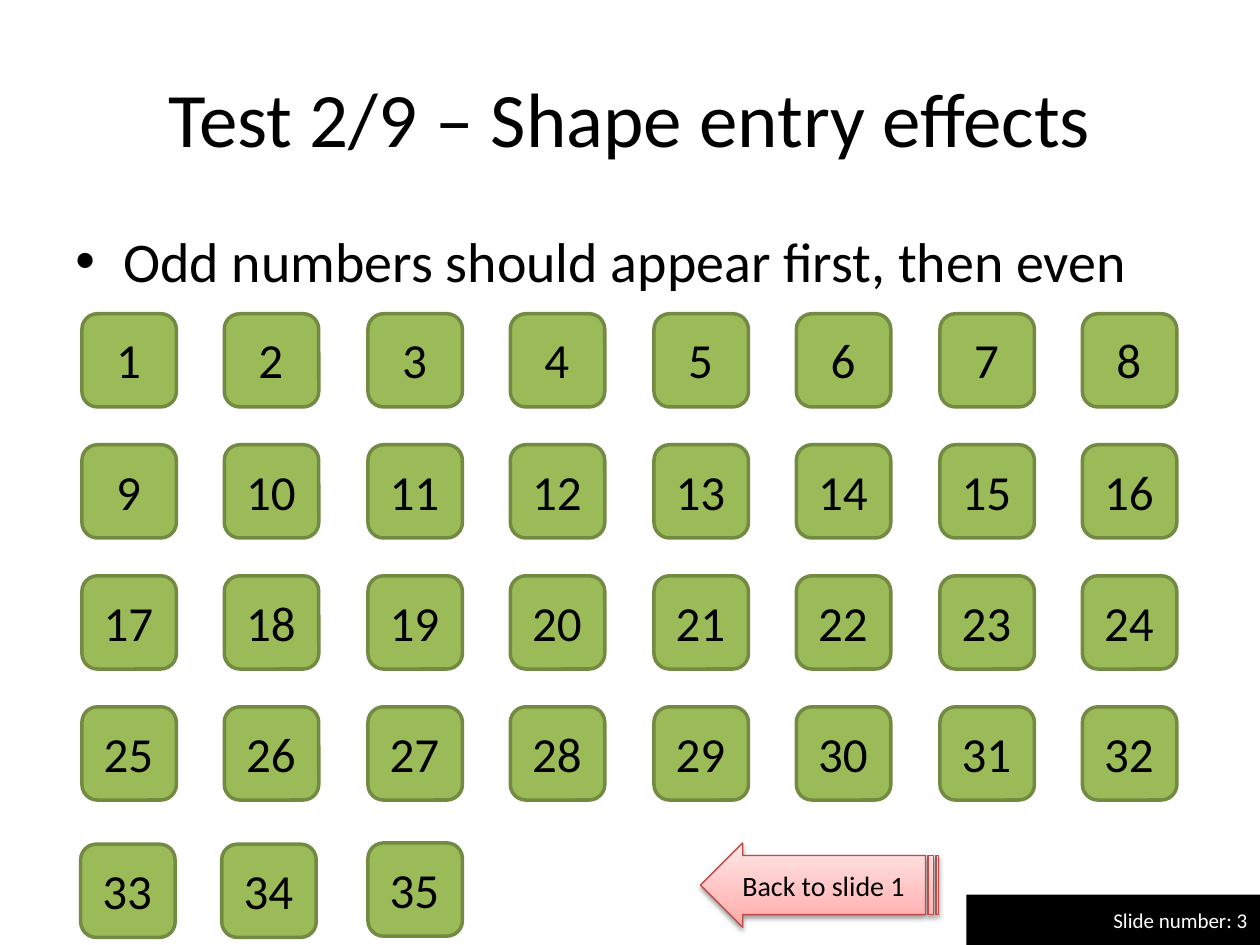
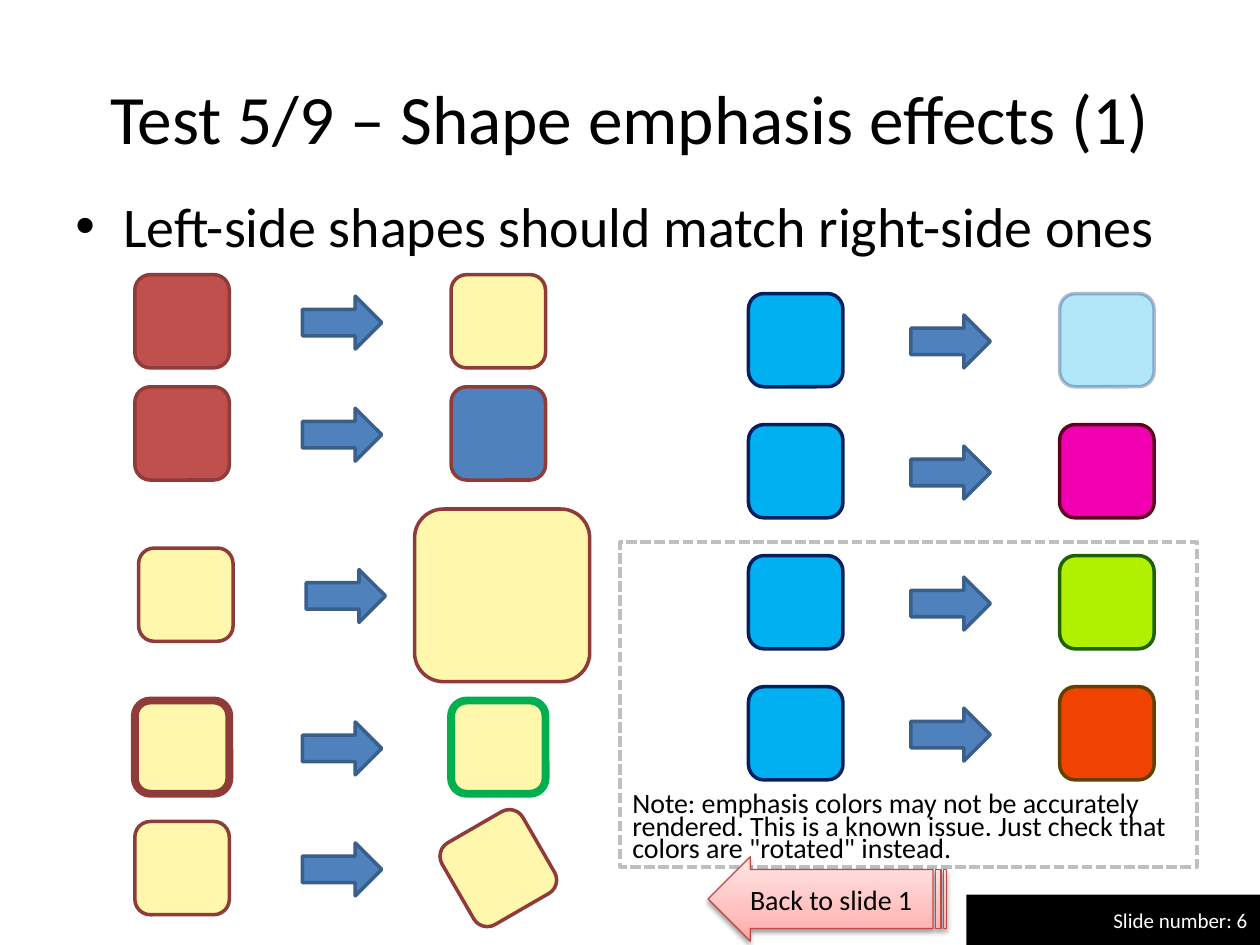
from dataclasses import dataclass

from lxml.etree import SubElement
from pptx import Presentation
from pptx.dml.color import RGBColor
from pptx.enum.dml import MSO_LINE
from pptx.enum.shapes import MSO_SHAPE as SHAPE
from pptx.enum.text import MSO_ANCHOR as ANCHOR, MSO_AUTO_SIZE as AUTO, PP_ALIGN as ALIGN
from pptx.oxml import parse_xml
from pptx.oxml.ns import nsdecls, qn
from pptx.util import Pt

PX = 9144  # EMU per px, 100 px to the inch
TILE_W, TILE_H = 75, 74
COLUMNS = 8


# Theme
@dataclass(frozen=True)
class Theme:
    font: str = "Calibri"
    black: str = "000000"
    white: str = "FFFFFF"
    green: str = "9BBB59"
    green_line: str = "738A42"
    red: str = "C0504D"
    red_line: str = "8E3B39"
    cream: str = "FFF7AB"
    blue: str = "4F81BD"
    blue_line: str = "3A5F8C"
    sky: str = "00B0F0"
    navy: str = "002060"
    frame: str = "BFBFBF"
    back_line: str = "BF4C48"
    back_stops: tuple = ((0, "FFA6A5"), (35, "FFC0BF"), (100, "FFE7E7"))
    title: float = 44
    long_title: float = 39.6
    bullet: float = 32
    number: float = 28
    note: float = 16
    footer: float = 12
    outline: float = 2
    thick: float = 4.5


T = Theme()


@dataclass(frozen=True)
class Look:
    """How a tile looks before or after an emphasis effect."""
    fill: str
    line: str
    width: float = T.outline
    opacity: int = 100
    scale: float = 1
    rotation: int = 0


# Basic elements
def rgb(color):
    return RGBColor.from_string(color)


def emu(*lengths):
    return [round(n) * PX for n in lengths]


def add_run(p, text, size, color=T.black):
    r = p.add_run()
    r.text = text
    r.font.size, r.font.name = Pt(size), T.font
    r.font.color.rgb = rgb(color)


def add_box(s, kind, box, fill=None, line=None, width=T.outline):
    sp = s.shapes.add_shape(kind, *emu(*box))
    sp.shadow.inherit = False
    if fill:
        sp.fill.solid()
        sp.fill.fore_color.rgb = rgb(fill)
    else:
        sp.fill.background()
    if line:
        sp.line.color.rgb = rgb(line)
        sp.line.width = Pt(width)
    else:
        sp.line.fill.background()
    return sp


def add_text(s, box, text, size, align=ALIGN.LEFT, wrap=True, auto=AUTO.SHAPE_TO_FIT_TEXT):
    tf = s.shapes.add_textbox(*emu(*box)).text_frame
    tf.word_wrap, tf.auto_size = wrap, auto
    p = tf.paragraphs[0]
    p.alignment = align
    add_run(p, text, size)
    return p


# Parts shared by the slides
def set_title(s, text, size):
    sp = s.shapes.title
    sp.left, sp.top, sp.width, sp.height = emu(50, 30, 900, 125)
    sp.fill.solid()
    sp.fill.fore_color.rgb = rgb(T.white)
    tf = sp.text_frame
    tf.auto_size, tf.vertical_anchor = AUTO.NONE, ANCHOR.MIDDLE
    p = tf.paragraphs[0]
    p.alignment = ALIGN.CENTER
    add_run(p, text, size)


def add_bullet(s, top, text):
    p = add_text(s, (50, top, 900, 74), text, T.bullet, auto=AUTO.NONE)
    pPr = p._p.get_or_add_pPr()
    indent, = emu(38)
    pPr.set("marL", str(indent))
    pPr.set("indent", str(-indent))
    SubElement(pPr, qn("a:buFont"), typeface="Arial")
    SubElement(pPr, qn("a:buChar"), char="•")


def add_footer(s, number):
    sp = add_box(s, SHAPE.RECTANGLE, (767, 710, 233, 40), T.black)
    sp.text_frame.vertical_anchor = ANCHOR.MIDDLE
    p = sp.text_frame.paragraphs[0]
    p.alignment = ALIGN.RIGHT
    add_run(p, f"Slide number: {number}", T.footer, T.white)


def add_back_arrow(s, left, top):
    sp = add_box(s, SHAPE.STRIPED_RIGHT_ARROW, (left, top, 189, 67),
                 T.white, T.back_line, 0.75)
    sp.adjustments[0], sp.adjustments[1] = 0.7, 0.5
    spPr = sp._element.spPr
    spPr.find(qn("a:xfrm")).set("flipH", "1")
    # Three-stop gradient running upwards
    stops = "".join(f'<a:gs pos="{pos * 1000}"><a:srgbClr val="{color}"/></a:gs>'
                    for pos, color in T.back_stops)
    gradient = parse_xml(f'<a:gradFill {nsdecls("a")} rotWithShape="1"><a:gsLst>{stops}'
                         '</a:gsLst><a:lin ang="16200000" scaled="0"/></a:gradFill>')
    spPr.replace(spPr.find(qn("a:solidFill")), gradient)
    # Soft shadow below
    shadow = SubElement(spPr.find(qn("a:effectLst")), qn("a:outerShdw"), blurRad="40000",
                        dist="20000", dir="5400000", rotWithShape="0")
    color = SubElement(shadow, qn("a:srgbClr"), val=T.black)
    SubElement(color, qn("a:alpha"), val="38000")
    sp.text_frame.vertical_anchor = ANCHOR.MIDDLE
    p = sp.text_frame.paragraphs[0]
    p.alignment = ALIGN.LEFT
    add_run(p, "Back to slide 1", T.note)


def start_slide(prs, number, title, title_size, bullet, bullet_top):
    s = prs.slides.add_slide(prs.slide_layouts[5])
    set_title(s, title, title_size)
    add_bullet(s, bullet_top, bullet)
    add_footer(s, number)
    return s


# Tiles
def add_numbered_tile(s, left, top, number):
    add_box(s, SHAPE.ROUNDED_RECTANGLE, (left, top, TILE_W, TILE_H), T.green, T.green_line)
    text = str(number)
    width = 20 + 20 * len(text)
    add_text(s, (left + (TILE_W - width) // 2, top + 8, width, 57), text, T.number,
             ALIGN.CENTER, wrap=False)


def add_look(s, left, top, look):
    w, h = TILE_W * look.scale, TILE_H * look.scale
    box = left + (TILE_W - w) / 2, top + (TILE_H - h) / 2, w, h
    sp = add_box(s, SHAPE.ROUNDED_RECTANGLE, box, look.fill, look.line, look.width)
    sp.rotation = look.rotation
    if look.opacity < 100:
        for color in sp._element.spPr.iter(qn("a:srgbClr")):
            SubElement(color, qn("a:alpha"), val=str(look.opacity * 1000))


def add_effect(s, lefts, top, before, after):
    start, arrow, end = lefts
    add_look(s, start, top, before)
    add_box(s, SHAPE.RIGHT_ARROW, (arrow, top + 17, 63, 42), T.blue, T.blue_line)
    add_look(s, end, top, after)


# Slides
def build_entry_slide(prs):
    s = start_slide(prs, 3, "Test 2/9 – Shape entry effects", T.title,
                    "Odd numbers should appear first, then even", 175)
    for i in range(4 * COLUMNS):
        row, col = divmod(i, COLUMNS)
        add_numbered_tile(s, 65 + col * 227 // 2, 249 + 104 * row, i + 1)
    for number, (left, top) in enumerate([(64, 670), (176, 670), (292, 669)], 33):
        add_numbered_tile(s, left, top, number)
    add_back_arrow(s, 556, 669)


def build_emphasis_slide(prs):
    s = start_slide(prs, 6, "Test 5/9 – Shape emphasis effects (1)", T.long_title,
                    "Left-side shapes should match right-side ones", 147)

    # Left side: fill, size, outline and rotation
    red, cream = Look(T.red, T.red_line), Look(T.cream, T.red_line)
    left_effects = [
        (0, 218, red, cream),
        (0, 307, red, Look(T.blue, T.red_line)),
        (3, 435, cream, Look(T.cream, T.red_line, scale=1.85)),
        (0, 556, Look(T.cream, T.red_line, T.thick), Look(T.cream, "00B050", T.thick)),
        (0, 652, cream, Look(T.cream, T.red_line, rotation=60)),
    ]
    for shift, top, before, after in left_effects:
        add_effect(s, (107 + shift, 240 + shift, 358 + shift), top, before, after)

    # Right side: transparency and rotated colours
    right_looks = [
        Look(T.sky, T.navy, opacity=30),
        Look("F000B1", "600020"),
        Look("AFF100", "206000"),
        Look("F04200", "604100"),
    ]
    for row, after in enumerate(right_looks):
        add_effect(s, (594, 723, 841), 233 + 104 * row, Look(T.sky, T.navy), after)

    # Framed note
    note = add_text(s, (492, 627, 492, 66),
                    "Note: emphasis colors may not be accurately rendered. This is a known "
                    'issue. Just check that colors are "rotated" instead.', T.note)
    note.line_spacing = Pt(13)
    frame = add_box(s, SHAPE.RECTANGLE, (492, 430, 458, 258), line=T.frame)
    frame.line.dash_style = MSO_LINE.SQUARE_DOT
    add_back_arrow(s, 562, 680)


def main():
    prs = Presentation()
    prs.slide_width, prs.slide_height = emu(1000, 750)
    build_entry_slide(prs)
    build_emphasis_slide(prs)
    prs.save("out.pptx")


if __name__ == "__main__":
    main()
